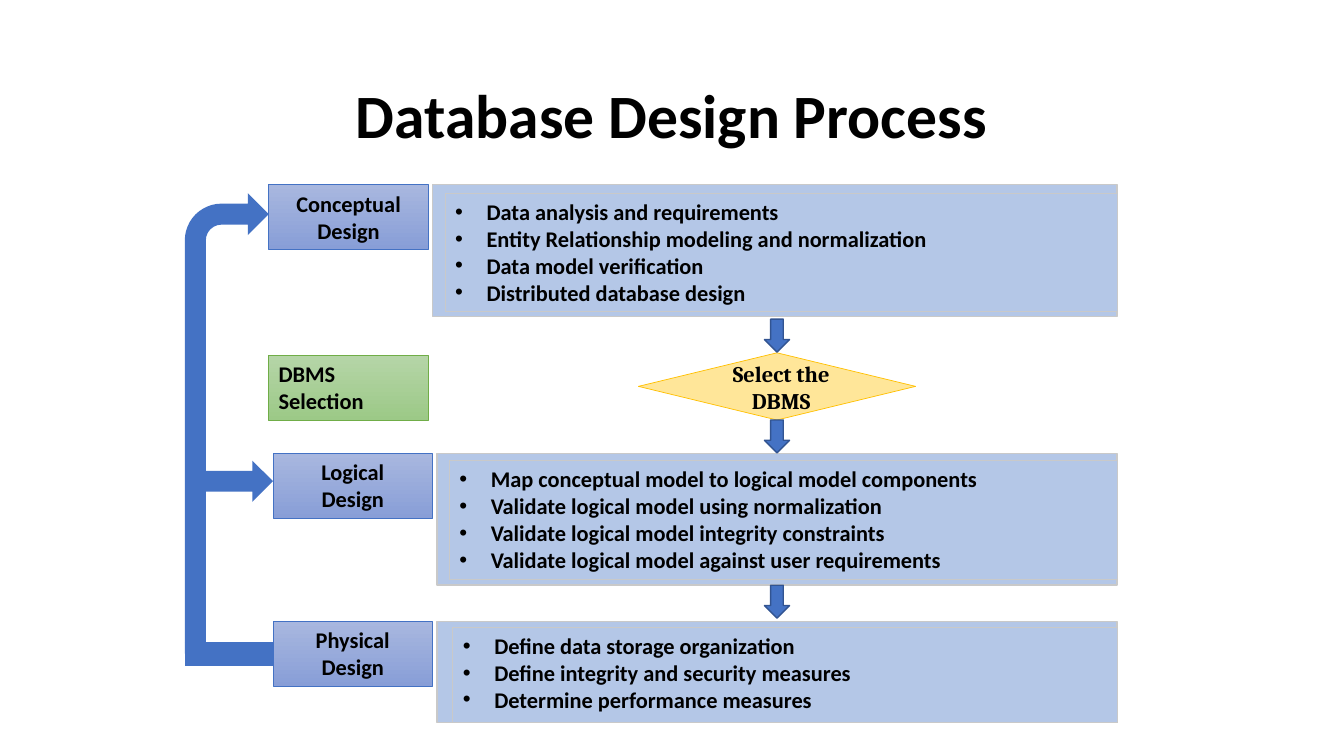
from lxml import etree
from pptx import Presentation
from pptx.dml.color import RGBColor
from pptx.enum.shapes import MSO_CONNECTOR, MSO_SHAPE
from pptx.enum.text import MSO_ANCHOR, PP_ALIGN
from pptx.oxml.ns import qn
from pptx.util import Pt

RECT = MSO_SHAPE.RECTANGLE
DIAMOND = MSO_SHAPE.FLOWCHART_DECISION
DOWN, RIGHT, BENT = MSO_SHAPE.DOWN_ARROW, MSO_SHAPE.RIGHT_ARROW, MSO_SHAPE.BENT_ARROW
STRAIGHT = MSO_CONNECTOR.STRAIGHT
LEFT, CENTER = PP_ALIGN.LEFT, PP_ALIGN.CENTER
TOP, MIDDLE = MSO_ANCHOR.TOP, MSO_ANCHOR.MIDDLE

BLUE, BLUE_EDGE, BLUE_FADE = "4472C4", "325491", ("A8B7DF", "889ED7")
GREEN, GREEN_FADE = "70AD47", ("B5D5A7", "9CC987")
PANEL, PANEL_EDGE = "B4C7E7", "C9C9C9"
YELLOW, GOLD = "FFE699", "FFC000"


def rgb(color):
    """Turn a hex string into a colour."""
    return RGBColor.from_string(color)


class DesignSlide:
    """Style and drawing methods for the current slide."""

    font, size, ink = "Calibri", 16, "000000"

    def __init__(self, slide):
        self.shapes = slide.shapes

    def label(self, shape, lines, align=LEFT, anchor=TOP, size=size, font=font, bullets=False):
        """Fill a shape with bold lines of text."""
        frame = shape.text_frame
        frame.word_wrap = True
        frame.vertical_anchor = anchor
        frame.text = "\n".join(lines)
        for line in frame.paragraphs:
            if bullets:
                props = line._p.get_or_add_pPr()
                props.set("marL", str(Pt(22.5)))
                props.set("indent", str(Pt(-22.5)))
                etree.SubElement(props, qn("a:buFont")).set("typeface", "Arial")
                etree.SubElement(props, qn("a:buChar")).set("char", "•")
            line.alignment = align
            line.font.name, line.font.size, line.font.bold = font, Pt(size), True
            line.font.color.rgb = rgb(self.ink)

    def text(self, box, lines, **style):
        """Add a centred text box."""
        self.label(self.shapes.add_textbox(*map(Pt, box)), lines, CENTER, **style)

    def shape(self, kind, box, fill, edge=None, width=1):
        """Add a preset shape with a solid fill, or a vertical fade for a pair."""
        shape = self.shapes.add_shape(kind, *map(Pt, box))
        shape.shadow.inherit = False
        if isinstance(fill, tuple):
            shape.fill.gradient()
            shape.fill.gradient_angle = 270
            for stop, color in zip(shape.fill.gradient_stops, fill):
                stop.color.rgb = rgb(color)
        else:
            shape.fill.solid()
            shape.fill.fore_color.rgb = rgb(fill)
        if edge:
            shape.line.color.rgb = rgb(edge)
            shape.line.width = Pt(width)
        else:
            shape.line.fill.background()
        return shape

    def panel(self, outer, inner, tasks):
        """Add a framed list of tasks."""
        self.shape(RECT, outer, PANEL, PANEL_EDGE)
        self.label(self.shape(RECT, inner, PANEL, PANEL_EDGE, 0.75), tasks, bullets=True)

    def stage(self, left, top, lines, fade=BLUE_FADE, edge=BLUE, align=CENTER):
        """Add the box of a design stage."""
        stage = self.shape(RECT, (left, top, 114, 46), fade, edge, 0.5)
        self.label(stage, lines, align)
        return stage

    def feedback(self, left, top, stage):
        """Add a thick line that ends at the left side of a stage."""
        line = self.shapes.add_connector(STRAIGHT, Pt(left), Pt(top), stage.left, Pt(top))
        line.end_connect(stage, 1)
        line.line.color.rgb = rgb(BLUE)
        line.line.width = Pt(17)
        etree.SubElement(line._element.spPr, qn("a:effectLst"))


def main():
    """Build the database design slide."""
    deck = Presentation()
    deck.slide_width, deck.slide_height = Pt(960), Pt(540)
    page = DesignSlide(deck.slides.add_slide(deck.slide_layouts[6]))

    page.text((66, 29, 828, 104), ["Database Design Process"], anchor=MIDDLE, size=44)

    page.panel((309, 132, 489, 94), (318, 138, 480, 84.5), [
        "Data analysis and requirements",
        "Entity Relationship modeling and normalization",
        "Data model verification",
        "Distributed database design",
    ])
    page.panel((312, 324, 486, 94), (321, 329, 477, 85), [
        "Map conceptual model to logical model components",
        "Validate logical model using normalization",
        "Validate logical model integrity constraints",
        "Validate logical model against user requirements",
    ])
    page.panel((312, 444, 486, 72), (323.5, 448, 474.5, 68), [
        "Define data storage organization",
        "Define integrity and security measures",
        "Determine performance measures",
    ])

    page.shape(DIAMOND, (456, 252, 198, 48), YELLOW, GOLD, 0.5)
    page.text((498, 254, 120, 46), ["Select the DBMS"], font="Cambria")

    page.stage(192, 132, ["Conceptual", "Design"])
    page.stage(192, 254, ["DBMS", "Selection"], GREEN_FADE, GREEN, LEFT)
    page.stage(195, 324, ["Logical", "Design"])
    physical = page.stage(195, 444, ["Physical", "Design"])

    for top in (228, 300, 418):
        page.shape(DOWN, (546, top, 18, 23.5), BLUE, BLUE_EDGE)

    page.shape(RIGHT, (138, 329, 57, 29.5), BLUE)
    page.shape(BENT, (132, 138, 60, 329), BLUE)
    page.feedback(132, 467, physical)

    deck.save("out.pptx")


if __name__ == "__main__":
    main()
